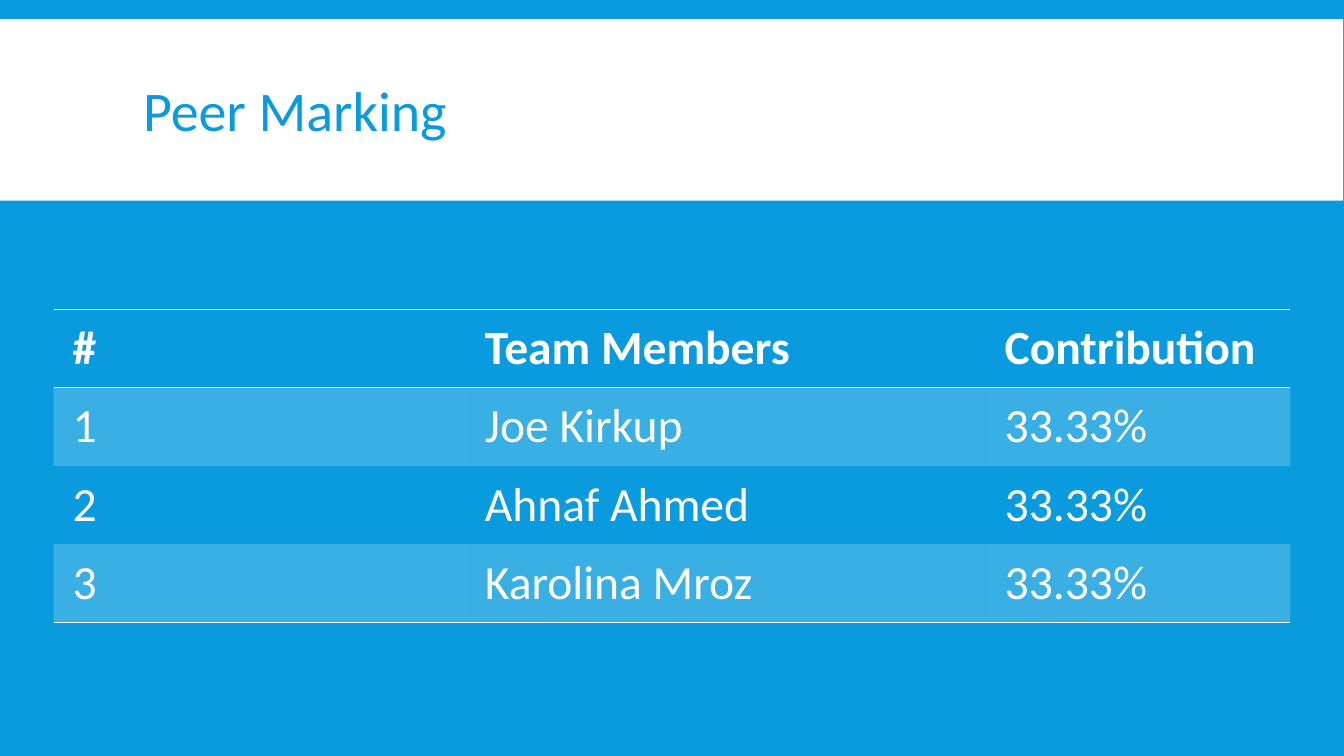
from lxml import etree
from pptx import Presentation
from pptx import util as u
from pptx.dml import color
from pptx.enum import shapes, text
from pptx.oxml import ns

BLUE, WHITE = "099BDD", "FFFFFF"
NO_GRID_STYLE = "{2D5ABB26-0587-4C30-8999-92F81FD0307C}"


def rgb(value):
    return color.RGBColor.from_string(value)


def child(parent, tag, **attributes):
    return etree.SubElement(parent, ns.qn(tag), attributes)


class PeerSlide:
    font = "Calibri"

    def __init__(self, deck):
        self.page = deck.slides.add_slide(deck.slide_layouts[5])
        fill = self.page.background.fill
        fill.solid()
        fill.fore_color.rgb = rgb(BLUE)

    def add_span(self, para, words, size, ink, bold=False):
        span = para.add_run()
        span.text = words
        span.font.name = self.font
        span.font.size = u.Pt(size)
        span.font.bold = bold
        span.font.color.rgb = rgb(ink)

    def band(self, left, top, width, height):
        box = self.page.shapes.add_shape(
            shapes.MSO_SHAPE.RECTANGLE,
            u.Cm(left), u.Cm(top), u.Cm(width), u.Cm(height))
        box.shadow.inherit = False
        box.fill.solid()
        box.fill.fore_color.rgb = rgb(WHITE)
        box.line.fill.background()

    def title(self, words, left, top, width, height):
        box = self.page.shapes.title
        box.left, box.top = u.Cm(left), u.Cm(top)
        box.width, box.height = u.Cm(width), u.Cm(height)
        # Bring the title in front of the band
        self.page.shapes._spTree.append(box._element)
        frame = box.text_frame
        frame.word_wrap = True
        frame.vertical_anchor = text.MSO_ANCHOR.MIDDLE
        para = frame.paragraphs[0]
        para.alignment = text.PP_ALIGN.LEFT
        para.line_spacing = 0.85
        self.add_span(para, words, 40, BLUE)

    def cell(self, cell, words, bold, shaded, rules):
        cell.margin_left = cell.margin_right = u.Cm(0.48)
        cell.margin_top = cell.margin_bottom = u.Cm(0.25)
        self.add_span(cell.text_frame.paragraphs[0], words, 34, WHITE, bold)
        if shaded:
            cell.fill.solid()
            cell.fill.fore_color.rgb = rgb(WHITE)
            tint = cell._tc.tcPr.find(".//" + ns.qn("a:srgbClr"))
            child(tint, "a:alpha", val="20000")
        else:
            cell.fill.background()
        # Border lines come before the fill
        for place, tag in enumerate(rules):
            line = etree.Element(ns.qn(tag), w=str(u.Pt(1)))
            child(child(line, "a:solidFill"), "a:srgbClr", val=WHITE)
            cell._tc.tcPr.insert(place, line)

    def table(self, rows, left, top, widths, row_height):
        frame = self.page.shapes.add_table(
            len(rows), len(widths), u.Cm(left), u.Cm(top),
            u.Cm(sum(widths)), u.Cm(row_height * len(rows)))
        grid = frame.table
        grid._tbl.tblPr.find(ns.qn("a:tableStyleId")).text = NO_GRID_STYLE
        for column, width in zip(grid.columns, widths):
            column.width = u.Cm(width)
        for r, row in enumerate(rows):
            grid.rows[r].height = u.Cm(row_height)
            rules = ["a:lnT"] if r == 0 else []
            if r in (0, len(rows) - 1):
                rules.append("a:lnB")
            for c, words in enumerate(row):
                self.cell(grid.cell(r, c), words, r == 0, r % 2 == 1, rules)


def main():
    deck = Presentation()
    deck.slide_width, deck.slide_height = u.Cm(33.87), u.Cm(19.05)
    slide = PeerSlide(deck)

    # Heading
    slide.band(0, 0.48, 33.85, 4.58)
    slide.title("Peer Marking", 3.35, 0.79, 27.18, 4.19)

    # Contributions
    members = ["Joe Kirkup", "Ahnaf Ahmed", "Karolina Mroz"]
    rows = [("#", "Team Members", "Contribution")]
    rows += [(str(n), name, "33.33%") for n, name in enumerate(members, 1)]
    slide.table(rows, 1.35, 7.8, [10.39, 13.1, 7.67], 1.97)

    deck.save("out.pptx")


if __name__ == "__main__":
    main()
